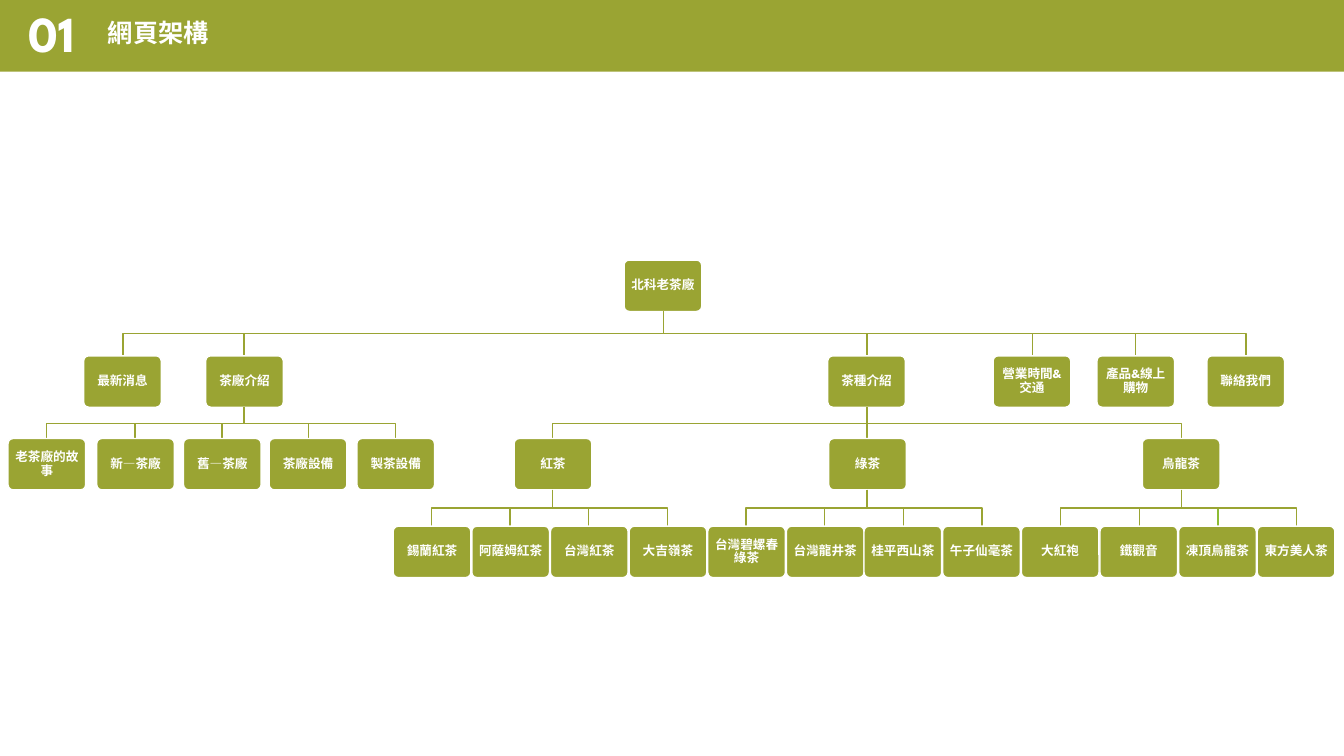
from dataclasses import dataclass

from lxml import etree
from pptx import Presentation
from pptx import util as u
from pptx.dml.color import RGBColor
from pptx.enum import shapes, text
from pptx.oxml.ns import qn

PX = 9144  # EMU per px, 100 px to the inch
PAGE_WIDTH, PAGE_HEIGHT = 1333, 750
BAND_HEIGHT = 71
CARD_WIDTH, CARD_HEIGHT = 77, 51
LEVEL_TOPS = (258, 353, 435, 522)
LEAF_LEFT, LEAF_PITCH = 390, 77.9
BRANCH_OFFSET = 120  # from a tea family's first leaf to the family card


@dataclass(frozen=True)
class Theme:
    olive: str = "9AA433"
    lime: str = "8DBC34"
    white: str = "FFFFFF"
    font: str = "League Spartan"
    number_size: int = 36
    title_size: int = 18
    card_size: int = 9
    line_width: int = 1


THEME = Theme()


@dataclass(frozen=True)
class Node:
    label: str
    left: int
    children: tuple = ()
    line_color: str = THEME.olive


FACTORY_PAGES = (
    Node("老茶廠的故事", 8),
    Node("新—茶廠", 96),
    Node("舊—茶廠", 182),
    Node("茶廠設備", 267),
    Node("製茶設備", 354),
)
TEA_FAMILIES = (
    ("紅茶", ("錫蘭紅茶", "阿薩姆紅茶", "台灣紅茶", "大吉嶺茶")),
    ("綠茶", ("台灣碧螺春綠茶", "台灣龍井茶", "桂平西山茶", "午子仙毫茶")),
    ("烏龍茶", ("大紅袍", "鐵觀音", "凍頂烏龍茶", "東方美人茶")),
)
LIME_LINES = {"凍頂烏龍茶"}


def emu(*lengths):
    return [u.Emu(round(length * PX)) for length in lengths]


def color(value):
    return RGBColor.from_string(value)


def tea_branches():
    """Place the leaves at an equal pitch and each family above its own."""
    branches = []
    index = 0
    for family, teas in TEA_FAMILIES:
        family_left = round(LEAF_LEFT + index * LEAF_PITCH) + BRANCH_OFFSET
        leaves = []
        for tea in teas:
            line_color = THEME.lime if tea in LIME_LINES else THEME.olive
            leaf_left = round(LEAF_LEFT + index * LEAF_PITCH)
            leaves.append(Node(tea, leaf_left, line_color=line_color))
            index += 1
        branches.append(Node(family, family_left, tuple(leaves)))
    return tuple(branches)


def site_map():
    return Node("北科老茶廠", 619, (
        Node("最新消息", 83),
        Node("茶廠介紹", 204, FACTORY_PAGES),
        Node("茶種介紹", 821, tea_branches()),
        Node("營業時間&交通", 985),
        Node("產品&線上購物", 1088),
        Node("聯絡我們", 1197),
    ))


def format_text(frame, size, align):
    frame.word_wrap = True
    frame.auto_size = text.MSO_AUTO_SIZE.NONE
    para = frame.paragraphs[0]
    para.alignment = align
    para.line_spacing = 0.9
    para.space_before = u.Pt(0)
    for span in para.runs:
        span.font.name = THEME.font
        span.font.size = u.Pt(size)
        span.font.bold = True
        span.font.color.rgb = color(THEME.white)


def fill_placeholder(box, words, bounds, size, anchor):
    box.left, box.top, box.width, box.height = emu(*bounds)
    frame = box.text_frame
    frame.text = words
    frame.vertical_anchor = anchor
    properties = frame.paragraphs[0]._p.get_or_add_pPr()
    properties.set("marL", "0")
    properties.set("indent", "0")
    etree.SubElement(properties, qn("a:buNone"))
    format_text(frame, size, text.PP_ALIGN.LEFT)


def add_band(page):
    band = page.shapes.add_shape(shapes.MSO_SHAPE.RECTANGLE,
                                 *emu(0, 0, PAGE_WIDTH, BAND_HEIGHT))
    band.shadow.inherit = False
    band.fill.solid()
    band.fill.fore_color.rgb = color(THEME.olive)
    band.line.fill.background()
    page.shapes._spTree.insert(2, band._element)  # behind the placeholders


def add_card(page, node, top):
    card = page.shapes.add_shape(shapes.MSO_SHAPE.ROUNDED_RECTANGLE,
                                 *emu(node.left, top, CARD_WIDTH, CARD_HEIGHT))
    card.adjustments[0] = 0.1
    card.shadow.inherit = False
    card.fill.solid()
    card.fill.fore_color.rgb = color(THEME.olive)
    card.line.color.rgb = color(THEME.white)
    card.line.width = u.Pt(THEME.line_width)
    frame = card.text_frame
    frame.margin_left, frame.margin_top = emu(4, 4)
    frame.margin_right, frame.margin_bottom = emu(4, 4)
    frame.vertical_anchor = text.MSO_ANCHOR.MIDDLE
    frame.text = node.label
    format_text(frame, THEME.card_size, text.PP_ALIGN.CENTER)


def add_branch_line(page, parent, child, parent_top, child_top):
    start_x = parent.left + CARD_WIDTH / 2
    end_x = child.left + CARD_WIDTH / 2
    start_y = parent_top + CARD_HEIGHT
    middle_y = (start_y + child_top) / 2
    builder = page.shapes.build_freeform(start_x, start_y, scale=PX)
    builder.add_line_segments(
        [(start_x, middle_y), (end_x, middle_y), (end_x, child_top)], close=False)
    line = builder.convert_to_shape()
    line.shadow.inherit = False
    line.fill.background()
    line.line.color.rgb = color(child.line_color)
    line.line.width = u.Pt(THEME.line_width)


def add_tree(page, node, level=0):
    top = LEVEL_TOPS[level]
    add_card(page, node, top)
    for child in node.children:
        add_branch_line(page, node, child, top, LEVEL_TOPS[level + 1])
        add_tree(page, child, level + 1)


def main():
    deck = Presentation()
    deck.slide_width, deck.slide_height = emu(PAGE_WIDTH, PAGE_HEIGHT)
    page = deck.slides.add_slide(deck.slide_layouts[1])

    # Header band with section number and title
    add_band(page)
    fill_placeholder(page.shapes.title, "網頁架構", (97, 16, 418, 40),
                     THEME.title_size, text.MSO_ANCHOR.TOP)
    fill_placeholder(page.placeholders[1], "01", (18, 9, 79, 53),
                     THEME.number_size, text.MSO_ANCHOR.MIDDLE)

    # Site map
    add_tree(page, site_map())
    deck.save("out.pptx")


if __name__ == "__main__":
    main()
